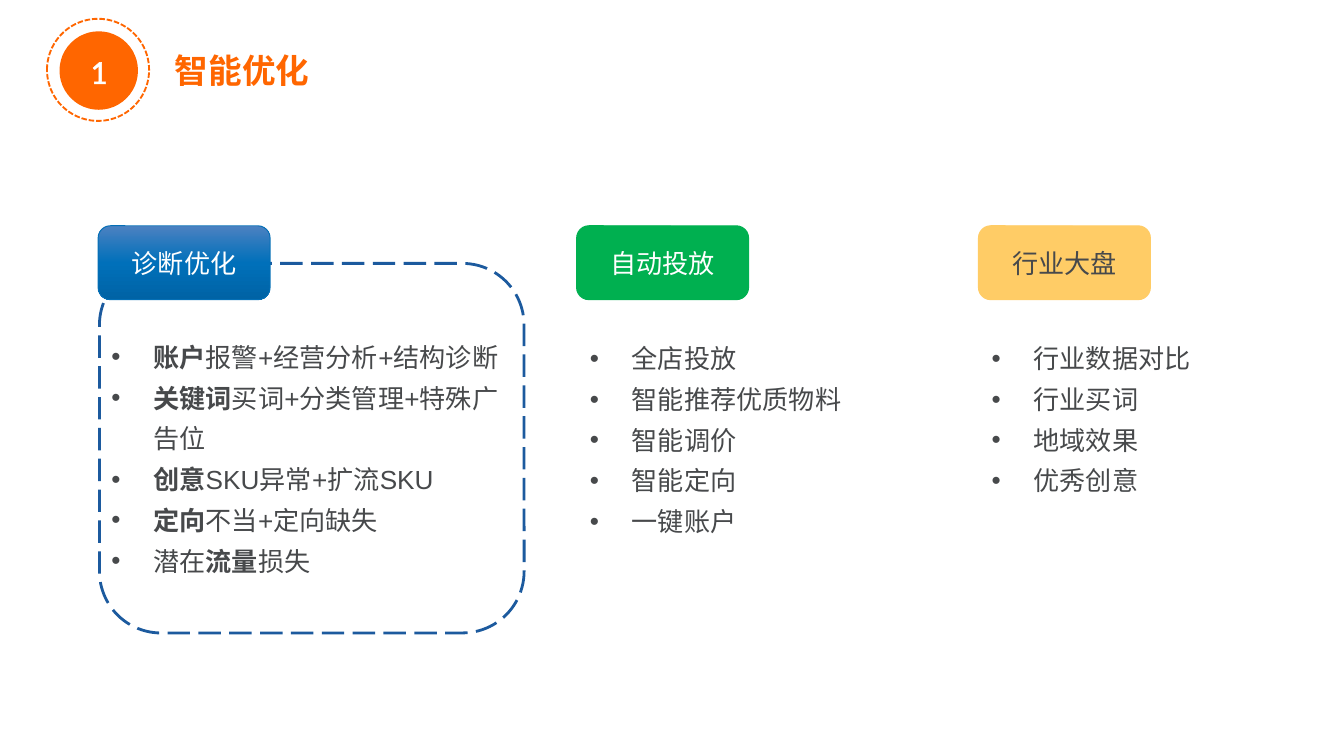
from copy import deepcopy
from dataclasses import dataclass

from lxml.etree import SubElement
from pptx import Presentation
from pptx.dml.color import RGBColor
from pptx.enum.dml import MSO_LINE_DASH_STYLE as Dash
from pptx.enum.shapes import MSO_AUTO_SHAPE_TYPE as Shape
from pptx.enum.text import MSO_ANCHOR as Anchor
from pptx.enum.text import MSO_AUTO_SIZE as AutoSize
from pptx.enum.text import PP_ALIGN as Align
from pptx.oxml import parse_xml
from pptx.oxml.ns import nsdecls, qn
from pptx.util import Inches, Pt


@dataclass(frozen=True)
class Theme:
    accent: str = "FF6600"
    white: str = "FFFFFF"
    ink: str = "47494B"
    frame: str = "1C5A9E"
    blue_line: str = "046FB6"
    blues: tuple = ("4B81C1", "0070BA", "0063A5")
    green: str = "00B050"
    yellow: str = "FFCC66"
    heading: int = 18
    body: int = 14
    number_font: str = "Calibri"
    latin_font: str = "Arial"
    chinese_font: str = "Noto Sans CJK SC"


THEME = Theme()
SLIDE_WIDTH = Inches(10)
SLIDE_HEIGHT = SLIDE_WIDTH * 9 // 16
BULLET_INDENT = Inches(5 / 16)
COLUMNS = [
    {
        "label": "诊断优化", "left": 0.73, "fill": THEME.blues,
        "line": THEME.blue_line, "color": THEME.white,
        "list_box": (2.42, 3.17, 1.94),
        "items": ["*账户*报警+经营分析+结构诊断", "*关键词*买词+分类管理+特殊广告位",
                  "*创意*SKU异常+扩流SKU", "*定向*不当+定向缺失", "潜在*流量*损失"],
    },
    {
        "label": "自动投放", "left": 4.29, "fill": THEME.green,
        "line": THEME.green, "color": THEME.white,
        "list_box": (2.43, 2.36, 1.63),
        "items": ["全店投放", "智能推荐优质物料", "智能调价", "智能定向", "一键账户"],
    },
    {
        "label": "行业大盘", "left": 7.28, "fill": THEME.yellow,
        "line": THEME.yellow, "color": THEME.ink,
        "list_box": (2.43, 2.09, 1.33),
        "items": ["行业数据对比", "行业买词", "地域效果", "优秀创意"],
    },
]


def apply_format(target, values):
    for name, value in values.items():
        setattr(target, name, value)


def add_run(paragraph, text, size, color, font_name, bold=False):
    run = paragraph.add_run()
    run.text = text
    apply_format(run.font, {"size": Pt(size), "name": font_name, "bold": bold})
    run.font.color.rgb = RGBColor.from_string(color)
    east_asian = SubElement(run.font._element, qn("a:ea"))
    east_asian.set("typeface", THEME.chinese_font)
    return run


def outline_text(run, color, width):
    outline = parse_xml(
        f'<a:ln {nsdecls("a")} w="{Pt(width)}"><a:solidFill>'
        f'<a:srgbClr val="{color}"/></a:solidFill></a:ln>'
    )
    run.font._element.insert(0, outline)


def fill_gradient(shape, colors):
    shape.fill.gradient()
    shape.fill.gradient_angle = 270
    stop_list = shape._element.spPr.find(qn("a:gradFill")).find(qn("a:gsLst"))
    for _ in colors[2:]:
        stop_list.append(deepcopy(stop_list[0]))
    for index, (stop, color) in enumerate(zip(shape.fill.gradient_stops, colors)):
        stop.position = index / (len(colors) - 1)
        stop.color.rgb = RGBColor.from_string(color)


def add_outlined_shape(shapes, kind, box, line, width, fill=None, dash=None):
    shape = shapes.add_shape(kind, *map(Inches, box))
    shape.shadow.inherit = False
    if fill is None:
        shape.fill.background()
    elif isinstance(fill, tuple):
        fill_gradient(shape, fill)
    else:
        shape.fill.solid()
        shape.fill.fore_color.rgb = RGBColor.from_string(fill)
    shape.line.color.rgb = RGBColor.from_string(line)
    apply_format(shape.line, {"width": Pt(width), "dash_style": dash})
    return shape


def add_centred_text(shape, text, size, color, font_name):
    shape.text_frame.vertical_anchor = Anchor.MIDDLE
    paragraph = shape.text_frame.paragraphs[0]
    paragraph.alignment = Align.CENTER
    return add_run(paragraph, text, size, color, font_name)


def add_text_frame(slide, box, wrap):
    frame = slide.shapes.add_textbox(*map(Inches, box)).text_frame
    apply_format(frame, {"word_wrap": wrap, "auto_size": AutoSize.SHAPE_TO_FIT_TEXT})
    return frame


def add_badge(slide, number):
    badge = slide.shapes.add_group_shape().shapes
    add_outlined_shape(badge, Shape.OVAL, (0.35, 0.14, 0.76, 0.76),
                       THEME.accent, 1, dash=Dash.SQUARE_DOT)
    disc = add_outlined_shape(badge, Shape.OVAL, (0.45, 0.24, 0.57, 0.57),
                              THEME.accent, 1, fill=THEME.accent)
    run = add_centred_text(disc, number, THEME.heading, THEME.white, THEME.number_font)
    outline_text(run, THEME.white, 1.45)


def add_title(slide, text):
    paragraph = add_text_frame(slide, (1.19, 0.32, 1.21, 0.4), False).paragraphs[0]
    paragraph.alignment = Align.RIGHT
    add_run(paragraph, text, THEME.heading, THEME.accent, THEME.chinese_font, True)


def add_bullet(paragraph):
    properties = paragraph._p.get_or_add_pPr()
    properties.set("marL", str(BULLET_INDENT))
    properties.set("indent", str(-BULLET_INDENT))
    SubElement(properties, qn("a:buFont")).set("typeface", THEME.latin_font)
    SubElement(properties, qn("a:buChar")).set("char", "•")


def add_bullet_list(slide, box, items):
    frame = add_text_frame(slide, box, True)
    for index, item in enumerate(items):
        paragraph = frame.add_paragraph() if index else frame.paragraphs[0]
        add_bullet(paragraph)
        paragraph.line_spacing = 1.3
        for position, text in enumerate(item.split("*")):
            if text:
                add_run(paragraph, text, THEME.body, THEME.ink,
                        THEME.latin_font, position % 2 == 1)


def add_column_label(slide, column):
    label = add_outlined_shape(slide.shapes, Shape.ROUNDED_RECTANGLE,
                               (column["left"], 1.68, 1.28, 0.55),
                               column["line"], 0.5, fill=column["fill"])
    add_centred_text(label, column["label"], THEME.body, column["color"],
                     THEME.chinese_font)


def main():
    presentation = Presentation()
    apply_format(presentation, {"slide_width": SLIDE_WIDTH, "slide_height": SLIDE_HEIGHT})
    slide = presentation.slides.add_slide(presentation.slide_layouts[6])
    add_outlined_shape(slide.shapes, Shape.ROUNDED_RECTANGLE, (0.74, 1.96, 3.16, 2.75),
                       THEME.frame, 1.5, dash=Dash.LONG_DASH)
    add_badge(slide, "1")
    add_title(slide, "智能优化")
    for column in COLUMNS:
        add_column_label(slide, column)
    for column in COLUMNS:
        add_bullet_list(slide, (column["left"], *column["list_box"]), column["items"])
    presentation.save("out.pptx")


if __name__ == "__main__":
    main()
